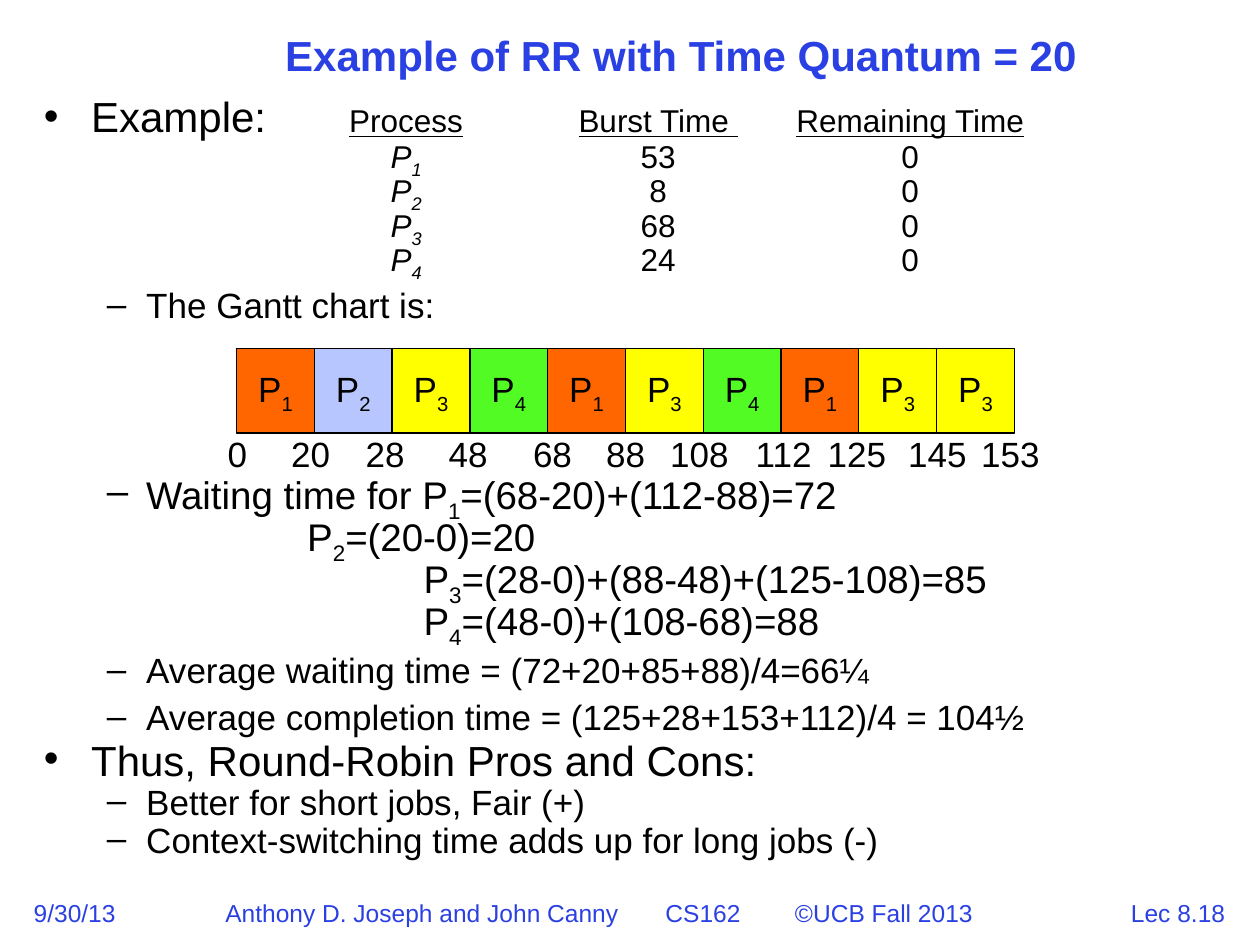
from lxml.etree import SubElement
from pptx import Presentation
from pptx.dml.color import RGBColor
from pptx.enum.shapes import MSO_SHAPE
from pptx.enum.text import MSO_ANCHOR as ANCHOR, MSO_AUTO_SIZE as AUTO, PP_ALIGN as ALIGN
from pptx.oxml.ns import qn
from pptx.util import Pt

BLACK, BLUE = "000000", "2A40E2"
BULLETS = {0: ("•", 27, -27), 1: ("–", 58.5, -22.5)}

# Process, burst time, remaining time
PROCESSES = [("P_1_", "53", "0"), ("P_2_", "8", "0"),
             ("P_3_", "68", "0"), ("P_4_", "24", "0")]
PROCESS_TABS = [(207, "ctr"), (351, "ctr"), (495, "ctr")]
WAITING = ("Waiting time for P_1_=(68-20)+(112-88)=72\n"
           "\tP_2_=(20-0)=20\n"
           "\t\tP_3_=(28-0)+(88-48)+(125-108)=85\n"
           "\t\tP_4_=(48-0)+(108-68)=88")
WAITING_TABS = [(150.5, "l"), (217, "l")]

# Gantt chart: order of processes, their fills, and times with label centres
SCHEDULE = [1, 2, 3, 4, 1, 3, 4, 1, 3, 3]
FILLS = {1: "FF6600", 2: "B7C6FE", 3: "FFFF00", 4: "53FB25"}
TIMES = [("0", 135.7), ("20", 177.5), ("28", 220), ("48", 267.5),
         ("68", 315.7), ("88", 357.5), ("108", 399.6), ("112", 447.8),
         ("125", 489.6), ("145", 535.7), ("153", 577.4)]
GANTT_LEFT, GANTT_TOP, CELL_WIDTH, CELL_HEIGHT = 135.2, 199.2, 44.45, 48.3


def colour(value):
    return RGBColor.from_string(value)


def add_text(paragraph, text, size=20, ink=BLACK, bold=False, italic=False, underline=False):
    """Add text; _x_ is a subscript and a newline is a line break."""
    for index, part in enumerate(text.split("_")):
        for line_number, line in enumerate(part.split("\n")):
            if line_number:
                paragraph.add_line_break()
            if not line:
                continue
            run = paragraph.add_run()
            run.text = line
            font = run.font
            font.name, font.size = "Arial", Pt(size)
            font.bold, font.italic, font.underline = bold, italic, underline
            font.color.rgb = colour(ink)
            if index % 2:
                run.font._element.set("baseline", "-25000")


def format_list(paragraph, level, tabs=()):
    """Give a paragraph its bullet, indents and tab stops."""
    mark, margin, indent = BULLETS[level]
    properties = paragraph._p.get_or_add_pPr()
    properties.set("marL", str(Pt(margin)))
    properties.set("indent", str(Pt(indent)))
    bullet_colour = SubElement(properties, qn("a:buClr"))
    SubElement(bullet_colour, qn("a:srgbClr"), val=BLACK)
    SubElement(properties, qn("a:buFont"), typeface="Arial")
    SubElement(properties, qn("a:buChar"), char=mark)
    add_tabs(paragraph, tabs)


def add_tabs(paragraph, tabs):
    if tabs:
        tab_list = SubElement(paragraph._p.get_or_add_pPr(), qn("a:tabLst"))
        for position, alignment in tabs:
            SubElement(tab_list, qn("a:tab"), pos=str(Pt(position)), algn=alignment)


class SlideBuilder:
    def __init__(self, presentation):
        self.slide = presentation.slides.add_slide(presentation.slide_layouts[5])

    def title(self, text, left, top, width, height):
        shape = self.slide.shapes.title
        shape.left, shape.top, shape.width, shape.height = map(Pt, (left, top, width, height))
        frame = shape.text_frame
        frame.auto_size, frame.vertical_anchor = AUTO.NONE, ANCHOR.MIDDLE
        paragraph = frame.paragraphs[0]
        paragraph.alignment, paragraph.line_spacing = ALIGN.CENTER, 0.9
        add_text(paragraph, text, size=24, ink=BLUE, bold=True)

    def text_box(self, left, top, width, height, wrap=False):
        shape = self.slide.shapes.add_textbox(Pt(left), Pt(top), Pt(width), Pt(height))
        shape.text_frame.word_wrap = wrap
        return shape.text_frame

    def label(self, text, left, top, width, height, size=20, ink=BLACK,
              align=ALIGN.CENTER, spacing=0.8, tabs=()):
        frame = self.text_box(left, top, width, height)
        frame.vertical_anchor = ANCHOR.MIDDLE
        paragraph = frame.paragraphs[0]
        paragraph.alignment, paragraph.line_spacing = align, spacing
        add_tabs(paragraph, tabs)
        add_text(paragraph, text, size=size, ink=ink)

    def cell(self, text, fill, left, top, width, height):
        shape = self.slide.shapes.add_shape(
            MSO_SHAPE.RECTANGLE, Pt(left), Pt(top), Pt(width), Pt(height))
        shape.shadow.inherit = False
        shape.fill.solid()
        shape.fill.fore_color.rgb = colour(fill)
        shape.line.color.rgb = colour(BLACK)
        shape.line.width = Pt(0.75)
        frame = shape.text_frame
        frame.word_wrap, frame.vertical_anchor = False, ANCHOR.MIDDLE
        paragraph = frame.paragraphs[0]
        paragraph.alignment, paragraph.line_spacing = ALIGN.CENTER, 0.8
        add_text(paragraph, text)

    def item(self, frame, text, level=1, size=20, spacing=0.8, before=7.5, tabs=()):
        paragraph = frame.add_paragraph()
        format_list(paragraph, level, tabs)
        paragraph.line_spacing, paragraph.space_before = spacing, Pt(before)
        add_text(paragraph, text, size=size)

    def process_list(self, frame):
        paragraph = frame.paragraphs[0]
        format_list(paragraph, 0, PROCESS_TABS)
        paragraph.line_spacing = 0.8
        add_text(paragraph, "Example:", size=24)
        for heading in ("Process", "Burst Time ", "Remaining Time"):
            add_text(paragraph, "\t", size=18)
            add_text(paragraph, heading, size=18, underline=True)
        for process, burst, remaining in PROCESSES:
            add_text(paragraph, f"\n\t{process}", size=18, italic=True)
            add_text(paragraph, f"\t{burst}\t{remaining}", size=18)


def main():
    presentation = Presentation()
    presentation.slide_width, presentation.slide_height = Pt(720), Pt(540)
    builder = SlideBuilder(presentation)

    # Footer
    builder.label("Lec 8.18", 614.9, 509.8, 116.6, 23.8, size=14, ink=BLUE, spacing=1)
    builder.label("9/30/13", 12.2, 509.8, 61.2, 23.8, size=14, ink=BLUE,
                  align=ALIGN.LEFT, spacing=1)
    builder.label("Anthony D. Joseph and John Canny\tCS162\t©UCB Fall 2013",
                  121.7, 512.6, 442, 20.9, size=14, ink=BLUE, align=ALIGN.LEFT,
                  tabs=[(251.5, "l"), (325.5, "l")])

    builder.title("Example of RR with Time Quantum = 20", 72, 0, 634.3, 66.2)

    # Body, with room left for the Gantt chart
    body = builder.text_box(18, 54, 684, 486, wrap=True)
    builder.process_list(body)
    builder.item(body, "The Gantt chart is:")
    builder.item(body, WAITING, size=22, before=86, tabs=WAITING_TABS)
    builder.item(body, "Average waiting time = (72+20+85+88)/4=66¼")
    builder.item(body, "Average completion time = (125+28+153+112)/4 = 104½")
    builder.item(body, "Thus, Round-Robin Pros and Cons:", level=0, size=24,
                 spacing=0.7, before=6)
    for text in ("Better for short jobs, Fair (+)",
                 "Context-switching time adds up for long jobs (-)"):
        builder.item(body, text, spacing=0.7, before=5)

    # Gantt chart
    for index, process in enumerate(SCHEDULE):
        builder.cell(f"P_{process}_", FILLS[process], GANTT_LEFT + index * CELL_WIDTH,
                     GANTT_TOP, CELL_WIDTH, CELL_HEIGHT)
    for time, centre in TIMES:
        width = 14.4 + 11.1 * len(time)
        builder.label(time, centre - width / 2, 248.4, width, 26.6)

    presentation.save("out.pptx")


if __name__ == "__main__":
    main()
